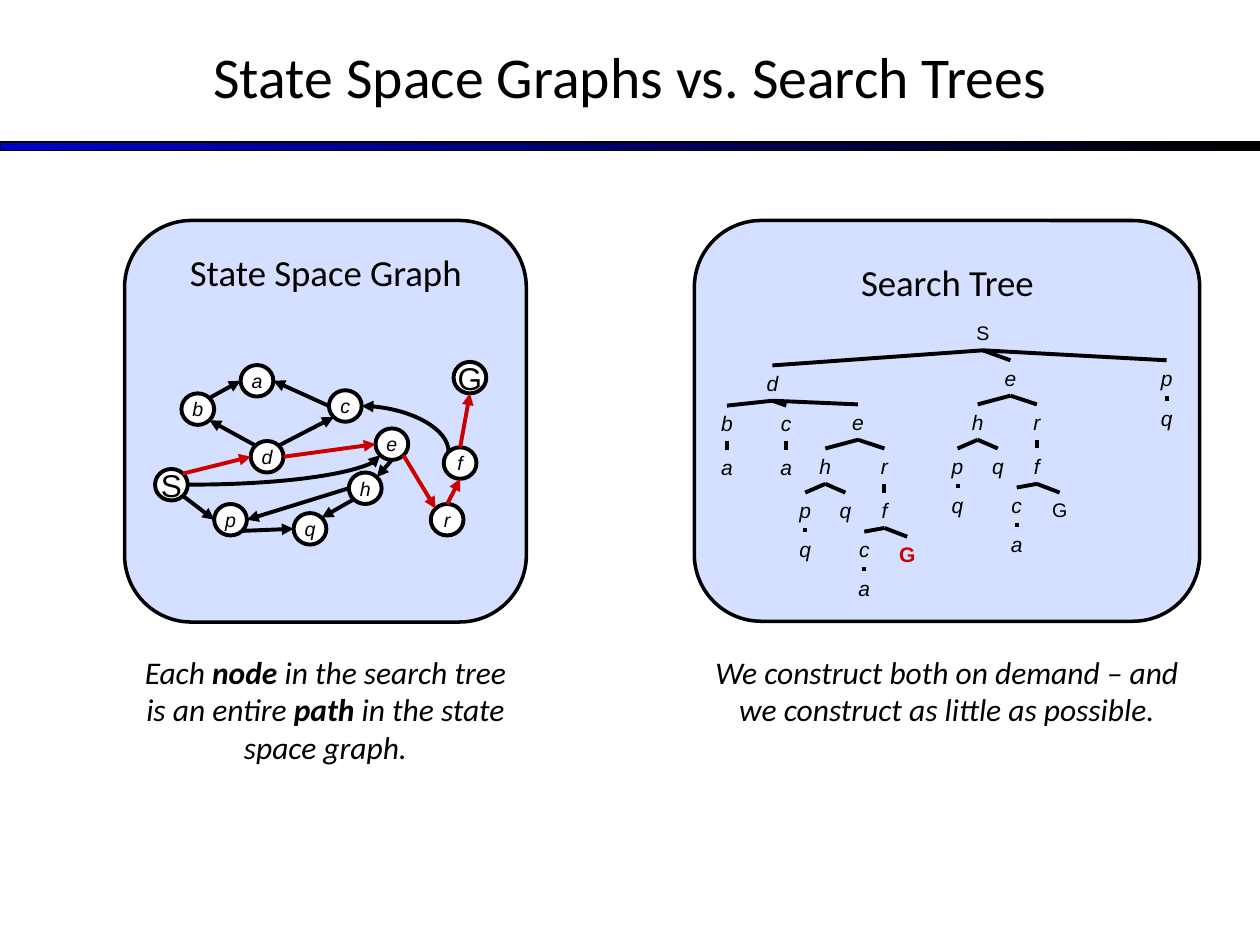
"""Build the slide comparing a state space graph with its search tree."""
import math
from lxml import etree
from pptx import Presentation
from pptx.dml.color import RGBColor
from pptx.enum import shapes, text
from pptx.oxml.ns import qn
from pptx.util import Pt

BLACK, RED, WHITE, PALE = "000000", "CC0000", "FFFFFF", "D5DFFF"


def hue(code):
    return RGBColor.from_string(code)


def label(words, x, y, w, h, size, font="Calibri", slant=False, code=BLACK):
    box = slide.shapes.add_textbox(Pt(x), Pt(y), Pt(w), Pt(h))
    frame = box.text_frame
    frame.word_wrap = True
    frame.margin_left = frame.margin_right = Pt(5.04)
    frame.margin_top = frame.margin_bottom = Pt(2.88)
    para = frame.paragraphs[0]
    para.alignment = text.PP_ALIGN.CENTER
    for i, part in enumerate(words.split("*")):
        run = para.add_run()
        run.text = part
        run.font.name, run.font.size = font, Pt(size)
        run.font.italic, run.font.bold = slant, i % 2 == 1
        run.font.color.rgb = hue(code)
    return frame


deck = Presentation()
deck.slide_width, deck.slide_height = Pt(720), Pt(540)
slide = deck.slides.add_slide(deck.slide_layouts[6])

bar = slide.shapes.add_shape(shapes.MSO_SHAPE.RECTANGLE, Pt(0), Pt(81.2), Pt(720), Pt(4.8))
bar.shadow.inherit = False
bar.fill.gradient()
bar.fill.gradient_angle = 0
for stop, code in zip(bar.fill.gradient_stops, ("0000CC", BLACK)):
    stop.color.rgb = hue(code)
bar.line.color.rgb = hue(BLACK)
bar.line.width = Pt(0.75)

title = label("State Space Graphs vs. Search Trees", 0, -2, 720, 90, 33)
title.vertical_anchor = text.MSO_ANCHOR.MIDDLE

# name: left, top
wide, high = 18.7, 18
rings = {
    "S": (88.6, 268), "G": (259.2, 206.8), "d": (143.3, 252), "b": (103.7, 224.8),
    "p": (122.4, 288), "q": (167.8, 293.2), "c": (188, 223), "e": (214.6, 244.8),
    "h": (199.4, 270), "a": (137.5, 208.6), "f": (253.6, 255.6), "r": (246.2, 288),
}
panel, ring = shapes.MSO_SHAPE.ROUNDED_RECTANGLE, shapes.MSO_SHAPE.FLOWCHART_CONNECTOR
forms = [
    ("", panel, 396.8, 126, 288.8, 229, PALE, 2),
    ("", panel, 71.2, 126, 229.6, 229.5, PALE, 2),
]
forms += [(name, ring, x, y, wide, high, WHITE, 2.25) for name, (x, y) in rings.items()]
for name, kind, x, y, w, h, code, thick in forms:
    form = slide.shapes.add_shape(kind, Pt(x), Pt(y), Pt(w), Pt(h))
    form.shadow.inherit = False
    form.fill.solid()
    form.fill.fore_color.rgb = hue(code)
    form.line.color.rgb = hue(BLACK)
    form.line.width = Pt(thick)
    if name:
        frame = form.text_frame
        frame.text = name
        frame.word_wrap = False
        frame.vertical_anchor = text.MSO_ANCHOR.MIDDLE
        para = frame.paragraphs[0]
        para.alignment = text.PP_ALIGN.CENTER
        font = para.runs[0].font
        font.name, font.size = "Arial", Pt(18 if name.isupper() else 11.2)
        font.italic = name.islower()
        font.color.rgb = hue(BLACK)

# Sites count anticlockwise from the top in steps of 45 degrees
lines = []
edges = "S5p2 p5q2 h3q7 h2p6 e4h7 d1b5 b7a2 c2a6 d7c3 S6e3 c6f1"
hot = "e5r1 r0f4 f0G4 S7d2 d6e2"
for code, group in ((BLACK, edges), (RED, hot)):
    for edge in group.split():
        ends = []
        for name, site in (edge[:2], edge[2:]):
            x, y = rings[name]
            turn = math.radians(45 * int(site))
            ends += [x + wide / 2 * (1 - math.sin(turn)), y + high / 2 * (1 - math.cos(turn))]
        bent = edge in ("S6e3", "c6f1")
        lines.append((*ends, code, "headEnd" if edge == "c6f1" else "tailEnd", bent))

# name, centre, top, parent index
tree = [
    ("S", 561.6, 180.7, None), ("d", 441.4, 208.8, 0), ("p", 666.7, 205.9, 0),
    ("q", 666.7, 229, 2), ("b", 415.4, 231.8, 1), ("a", 415.4, 257, 4),
    ("c", 449.3, 231.8, 1), ("a", 449.3, 257, 6),
]
# Offsets from the subtree root, parent index within the subtree
branch = [
    ("h", -18.7, 25.2, 0), ("r", 15.1, 25.2, 0), ("p", -30.2, 50.4, 1),
    ("q", -7.2, 50.4, 1), ("f", 15.1, 50.4, 2), ("q", -30.2, 72.7, 3),
    ("c", 3.6, 72.7, 5), ("G", 28.1, 75.6, 5), ("a", 3.6, 95, 7),
]
for x, y, top in ((490.3, 231.1, 1), (577.4, 205.9, 0)):
    base = len(tree)
    tree.append(("e", x, y, top))
    tree += [(name, x + dx, y + dy, base + up) for name, dx, dy, up in branch]

goal = next(i for i, node in enumerate(tree) if node[0] == "G")
for i, (name, x, y, up) in enumerate(tree):
    w = {"S": 49, "G": 37.4}.get(name, 18.7)
    found = i == goal
    size = 11.2 if name.isupper() and not found else 12
    label(f"*{name}*" if found else name, x - w / 2, y, w, 20, size, "Arial",
          name.islower(), RED if found else BLACK)
    if up is not None:
        above = tree[up]
        drop = 19.5 if above[0] == "S" else 20.2
        lines.append((above[1], above[2] + drop, x, y, BLACK, None, False))

for x1, y1, x2, y2, code, tip, bent in lines:
    kind = shapes.MSO_CONNECTOR.CURVE if bent else shapes.MSO_CONNECTOR.STRAIGHT
    link = slide.shapes.add_connector(kind, Pt(x1), Pt(y1), Pt(x2), Pt(y2))
    link.line.color.rgb = hue(code)
    link.line.width = Pt(2.25)
    props = link._element.spPr
    if bent:
        props.find(qn("a:prstGeom")).set("prst", "curvedConnector2")
    if tip:
        etree.SubElement(props.find(qn("a:ln")), qn(f"a:{tip}"), type="triangle")
    etree.SubElement(props, qn("a:effectLst"))

label("We construct both on demand – and we construct as little as possible.",
      396.8, 370, 288.8, 49, 18, slant=True)
label("Each *node* in the search tree is an entire *path* in the state space graph.",
      71.2, 370, 229.6, 70.6, 18, slant=True)
label("Search Tree", 397.4, 145.4, 288, 31, 21)
label("State Space Graph", 85, 139.7, 202.3, 31, 21)

deck.save("out.pptx")
